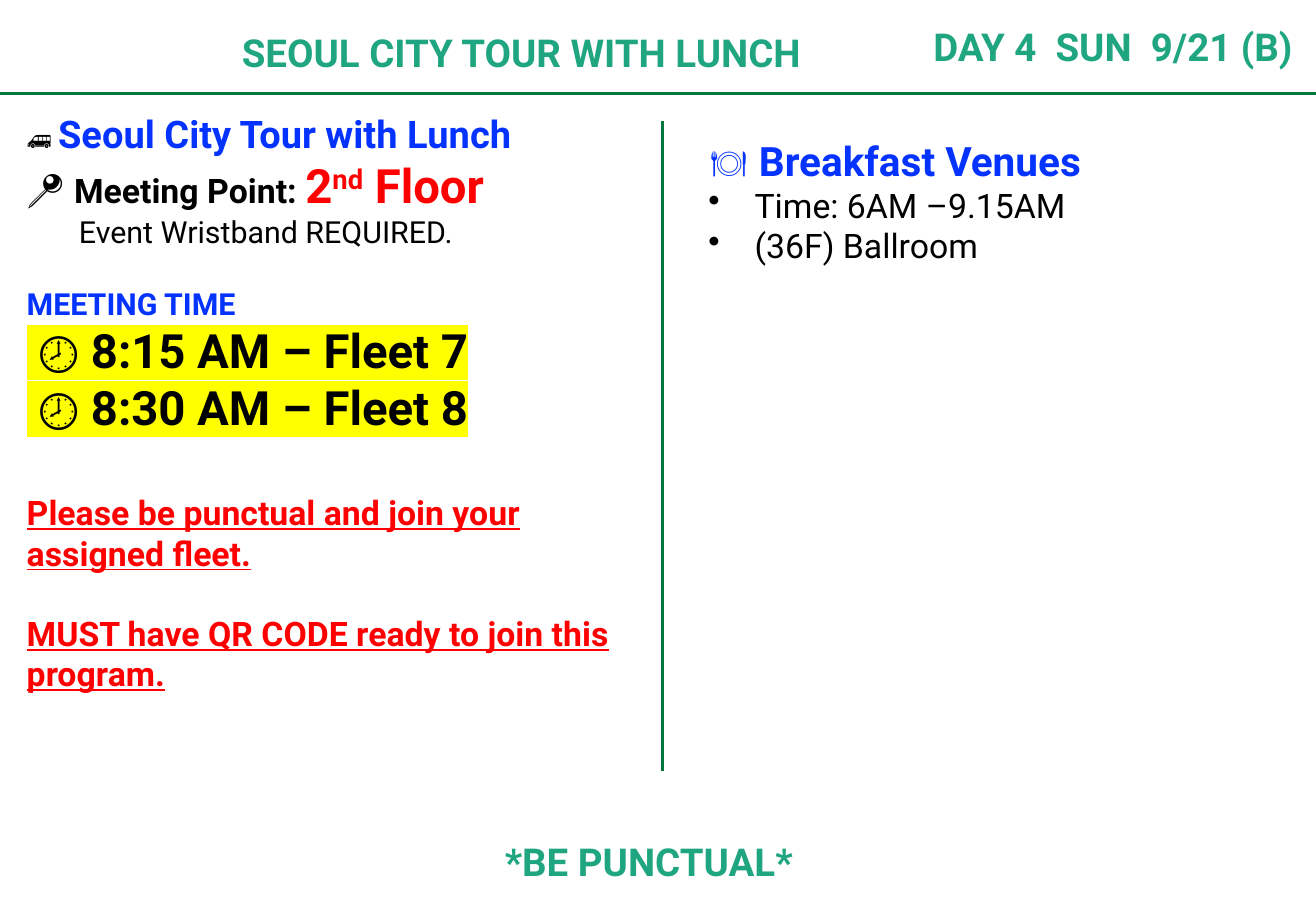
from dataclasses import dataclass

from lxml import etree
from pptx import Presentation
from pptx import util as u
from pptx.dml.color import RGBColor
from pptx.enum import shapes, text
from pptx.oxml.ns import qn
from pptx.shapes.autoshape import Shape
from pptx.slide import Slide
from pptx.text.text import Font

PX = 9144  # EMU per px, 100 px to the inch
LEFT, CENTER, RIGHT = text.PP_ALIGN.LEFT, text.PP_ALIGN.CENTER, text.PP_ALIGN.RIGHT


@dataclass(frozen=True)
class Theme:
    font: str = "Roboto"
    rule: str = "02783F"
    banner: str = "1FA680"
    heading: str = "0432FF"
    body: str = "000000"
    alert: str = "FF0000"
    marker: str = "FFFF00"
    banner_size: float = 22.8
    tour_size: float = 22.5
    venue_size: float = 24
    time_size: float = 28
    body_size: float = 20
    note_size: float = 18
    bus_size: float = 14.5


THEME = Theme()


@dataclass(frozen=True)
class Span:
    words: str
    size: float = THEME.body_size
    color: str = THEME.body
    bold: bool = False
    underline: bool = False
    highlight: bool = False
    raised: bool = False


@dataclass(frozen=True)
class Line:
    spans: tuple[Span, ...]
    align: text.PP_ALIGN = LEFT
    before: float = 0
    indent: int = 0
    bullet: bool = False


@dataclass(frozen=True)
class Box:
    left: int
    top: int
    width: int
    height: int
    lines: tuple[Line, ...]


@dataclass(frozen=True)
class Rule:
    x1: int
    y1: int
    x2: int
    y2: int


def banner(words: str, align: text.PP_ALIGN) -> tuple[Line, ...]:
    return (Line((Span(words, THEME.banner_size, THEME.banner, bold=True),), align),)


def meeting_time(words: str) -> Line:
    return Line((Span(f" 🕗 {words}", THEME.time_size, bold=True, highlight=True),))


def warning(words: str, before: float) -> Line:
    return Line((Span(words, color=THEME.alert, bold=True, underline=True),), before=before)


def venue_item(words: str) -> Line:
    return Line((Span(words),), indent=38, bullet=True)


TITLE = Box(191, 20, 551, 46, banner("SEOUL CITY TOUR WITH LUNCH", LEFT))
DAY = Box(595, 15, 477, 46, banner("DAY 4  SUN  9/21 (B)", RIGHT))
FOOTER = Box(-4, 686, 1076, 46, banner("*BE PUNCTUAL*", CENTER))
VENUES = Box(575, 108, 490, 150, (
    Line((
        Span("🍽 ", THEME.venue_size, THEME.heading),
        Span("Breakfast Venues", THEME.venue_size, THEME.heading, bold=True),
    )),
    venue_item("Time: 6AM –9.15AM"),
    venue_item("(36F) Ballroom"),
))
TOUR = Box(14, 87, 501, 496, (
    Line((
        Span("🚐 ", THEME.bus_size),
        Span("Seoul City Tour with Lunch", THEME.tour_size, THEME.heading, bold=True),
    )),
    Line((
        Span("📍 ", THEME.venue_size),
        Span("Meeting Point: ", bold=True),
        Span("2", THEME.time_size, THEME.alert, bold=True),
        Span("nd", THEME.time_size, THEME.alert, bold=True, raised=True),
        Span(" Floor", THEME.time_size, THEME.alert, bold=True),
    )),
    Line((Span("Event Wristband REQUIRED.", THEME.note_size),), indent=43),
    Line((Span("MEETING TIME", THEME.note_size, THEME.heading, bold=True),), before=21),
    meeting_time("8:15 AM – Fleet 7"),
    meeting_time("8:30 AM – Fleet 8"),
    warning("Please be punctual and join your assigned fleet.", before=34),
    warning("MUST have QR CODE ready to join this program.", before=23.5),
))
RULES = (Rule(0, 77, 1083, 77), Rule(545, 100, 545, 635))


def style_font(font: Font, span: Span) -> None:
    font.name = THEME.font
    font.size = u.Pt(span.size)
    font.bold = span.bold
    font.underline = span.underline
    font.color.rgb = RGBColor.from_string(span.color)


def fill_shape(shape: Shape, box: Box) -> None:
    """Place the shape and write the lines of the box into it."""
    shape.left, shape.top = box.left * PX, box.top * PX
    shape.width, shape.height = box.width * PX, box.height * PX
    frame = shape.text_frame
    frame.word_wrap = True
    frame.auto_size = text.MSO_AUTO_SIZE.SHAPE_TO_FIT_TEXT
    frame.vertical_anchor = text.MSO_ANCHOR.TOP
    frame.margin_left = frame.margin_right = 8 * PX
    frame.margin_top = frame.margin_bottom = 4 * PX
    for index, line in enumerate(box.lines):
        paragraph = frame.add_paragraph() if index else frame.paragraphs[0]
        paragraph.alignment = line.align
        paragraph.space_before = u.Pt(line.before)
        properties = paragraph._p.get_or_add_pPr()
        if line.indent:
            properties.set("marL", str(line.indent * PX))
        if line.bullet:
            properties.set("indent", str(-line.indent * PX))
            etree.SubElement(properties, qn("a:buChar"), char="•")
        uniform = len(line.spans) == 1 and not line.spans[0].highlight
        if uniform:
            style_font(paragraph.font, line.spans[0])
        for span in line.spans:
            run = paragraph.add_run()
            run.text = span.words
            if not uniform:
                style_font(run.font, span)
            run_properties = run._r.get_or_add_rPr()
            if span.raised:
                run_properties.set("baseline", "30000")
            if span.highlight:
                highlight = etree.Element(qn("a:highlight"))
                etree.SubElement(highlight, qn("a:srgbClr"), val=THEME.marker)
                run_properties.find(qn("a:solidFill")).addnext(highlight)


def add_rule(slide: Slide, rule: Rule) -> None:
    connector = slide.shapes.add_connector(
        shapes.MSO_CONNECTOR.STRAIGHT,
        rule.x1 * PX, rule.y1 * PX, rule.x2 * PX, rule.y2 * PX,
    )
    connector.line.color.rgb = RGBColor.from_string(THEME.rule)
    connector.line.width = u.Pt(1.5)
    etree.SubElement(connector._element.spPr, qn("a:effectLst"))


def main() -> None:
    presentation = Presentation()
    presentation.slide_width, presentation.slide_height = 1083 * PX, 750 * PX
    slide = presentation.slides.add_slide(presentation.slide_layouts.get_by_name("Title Only"))
    fill_shape(slide.shapes.title, TITLE)
    for rule in RULES:
        add_rule(slide, rule)
    for box in (DAY, FOOTER, VENUES, TOUR):
        fill_shape(slide.shapes.add_textbox(0, 0, 0, 0), box)
    presentation.save("out.pptx")


if __name__ == "__main__":
    main()
